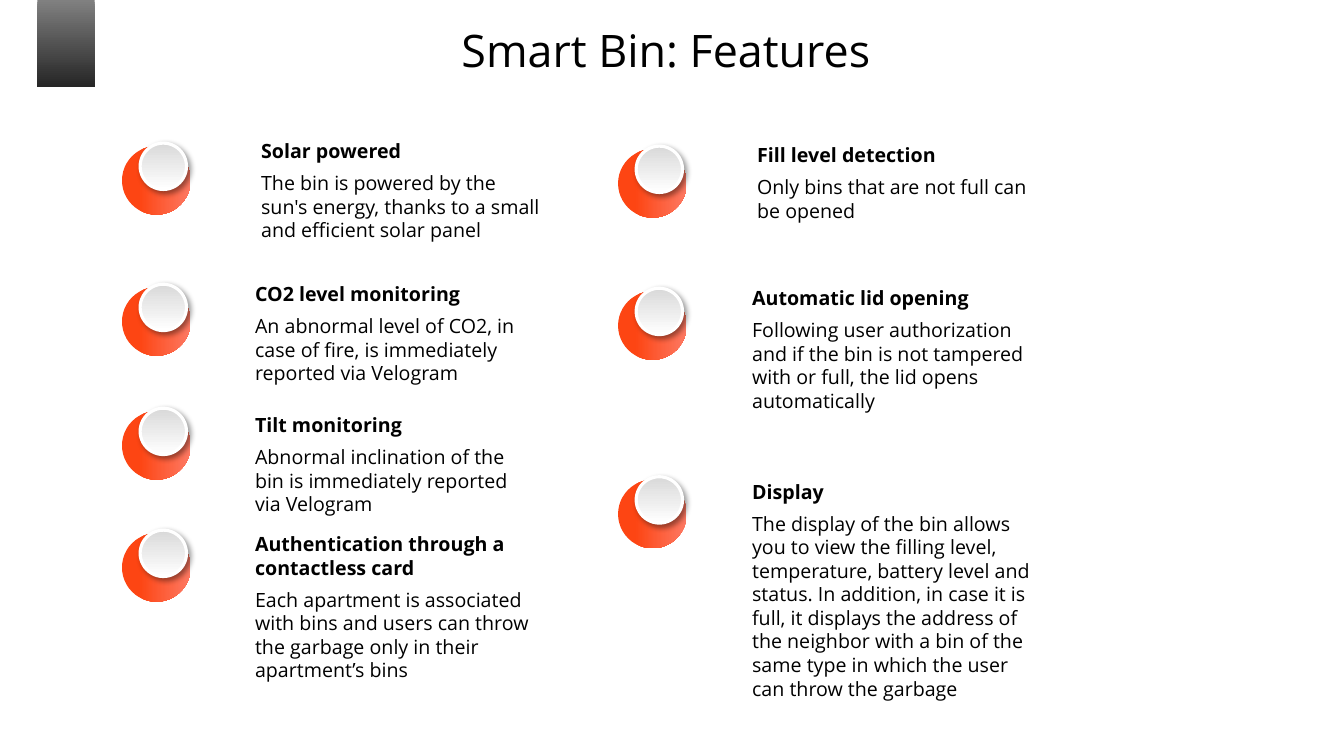
from dataclasses import dataclass

from lxml import etree
from pptx import Presentation
from pptx.dml.color import RGBColor
from pptx.enum.shapes import MSO_SHAPE
from pptx.enum.text import MSO_AUTO_SIZE, PP_ALIGN
from pptx.oxml.ns import qn
from pptx.shapes.autoshape import Shape
from pptx.slide import Slide
from pptx.text.text import TextFrame, _Paragraph
from pptx.util import Emu, Pt

OVAL = MSO_SHAPE.OVAL
RECT = MSO_SHAPE.RECTANGLE
GROW = MSO_AUTO_SIZE.SHAPE_TO_FIT_TEXT
MID = PP_ALIGN.CENTER

BLACK = RGBColor(0x00, 0x00, 0x00)
WHITE = RGBColor(0xFF, 0xFF, 0xFF)
RED = RGBColor(0xFD, 0x45, 0x13)
CORAL = RGBColor(0xFD, 0x79, 0x63)
SILVER = RGBColor(0xD9, 0xD9, 0xD9)
GREY = RGBColor(0x80, 0x80, 0x80)
DARK = RGBColor(0x26, 0x26, 0x26)

FONT = "Open Sans"
SCALE = 9144
WIDE, HIGH = 1333, 750
DISC, KNOB = 68, 46
KNOB_X, KNOB_Y = 18, -3
TEXT_W = 280
DOWN = 270


@dataclass(frozen=True)
class Feature:
    disc_x: int
    disc_y: int
    text_x: int
    text_y: int
    text_h: int
    head: str
    body: str


LEFT, RIGHT = 121, 613

FEATURES = [
    Feature(LEFT, 145, 259, 138, 103, "Solar powered",
            "The bin is powered by the sun's energy, thanks to a small "
            "and efficient solar panel"),
    Feature(LEFT, 285, 253, 280, 103, "CO2 level monitoring",
            "An abnormal level of CO2, in case of fire, is immediately "
            "reported via Velogram"),
    Feature(LEFT, 408, 253, 410, 135, "Tilt monitoring",
            "Abnormal inclination of the bin is immediately reported "
            "via Velogram"),
    Feature(LEFT, 529, 253, 528, 150,
            "Authentication through a contactless card",
            "Each apartment is associated with bins and users can throw "
            "the garbage only in their apartment’s bins"),
    Feature(RIGHT, 148, 751, 142, 79, "Fill level detection",
            "Only bins that are not full can be opened"),
    Feature(RIGHT, 289, 746, 284, 126, "Automatic lid opening",
            "Following user authorization and if the bin is not tampered "
            "with or full, the lid opens automatically"),
    Feature(RIGHT, 476, 746, 476, 220, "Display",
            "The display of the bin allows you to view the filling level, "
            "temperature, battery level and status. In addition, in case "
            "it is full, it displays the address of the neighbor with a "
            "bin of the same type in which the user can throw the garbage"),
]


def px(size: int) -> Emu:
    return Emu(size * SCALE)


def add_shade(slide: Slide, kind: MSO_SHAPE, x: int, y: int, w: int, h: int,
              start: RGBColor, end: RGBColor, angle: int,
              first: float = 0) -> Shape:
    shape = slide.shapes.add_shape(kind, px(x), px(y), px(w), px(h))
    shape.shadow.inherit = False
    shape.line.fill.background()
    shape.fill.gradient()
    shape.fill.gradient_angle = angle
    stops = shape.fill.gradient_stops
    for stop, color, place in zip(stops, (start, end), (first, 1)):
        stop.color.rgb = color
        stop.position = place
    return shape


def cast_shadow(shape: Shape) -> None:
    effects = shape._element.spPr.find(qn("a:effectLst"))
    shadow = etree.SubElement(effects, qn("a:outerShdw"), blurRad="50800",
                              dist="38100", dir="2700000", algn="tl",
                              rotWithShape="0")
    color = etree.SubElement(shadow, qn("a:srgbClr"), val=str(BLACK))
    etree.SubElement(color, qn("a:alpha"), val="40000")


def add_button(slide: Slide, x: int, y: int) -> None:
    add_shade(slide, OVAL, x, y, DISC, DISC, RED, CORAL, 0, 0.25)
    knob = add_shade(slide, OVAL, x + KNOB_X, y + KNOB_Y, KNOB, KNOB,
                     SILVER, WHITE, DOWN)
    knob.line.color.rgb = WHITE
    knob.line.width = Pt(2.25)
    cast_shadow(knob)


def add_frame(slide: Slide, x: int, y: int, w: int, h: int) -> TextFrame:
    box = slide.shapes.add_textbox(px(x), px(y), px(w), px(h))
    frame = box.text_frame
    frame.word_wrap = True
    frame.auto_size = GROW
    return frame


def style(para: _Paragraph, size: int, bold: bool = False) -> None:
    for run in para.runs:
        run.font.name = FONT
        run.font.size = Pt(size)
        run.font.bold = bold
        run.font.color.rgb = BLACK


def add_title(slide: Slide, text: str) -> None:
    frame = add_frame(slide, 0, 18, WIDE, 64)
    frame.text = text
    para = frame.paragraphs[0]
    para.alignment = MID
    style(para, 32)


def add_feature(slide: Slide, item: Feature) -> None:
    add_button(slide, item.disc_x, item.disc_y)
    frame = add_frame(slide, item.text_x, item.text_y, TEXT_W, item.text_h)
    frame.margin_left = frame.margin_right = 0
    frame.margin_top = frame.margin_bottom = 0
    frame.text = item.head
    style(frame.paragraphs[0], 14, True)
    body = frame.add_paragraph()
    body.text = item.body
    body.space_before = Pt(6)
    style(body, 14)


def main() -> None:
    deck = Presentation()
    deck.slide_width = px(WIDE)
    deck.slide_height = px(HIGH)
    slide = deck.slides.add_slide(deck.slide_layouts[6])
    add_shade(slide, RECT, 37, 0, 57, 86, GREY, DARK, DOWN)
    add_title(slide, "Smart Bin: Features ")
    for item in FEATURES:
        add_feature(slide, item)
    deck.save("out.pptx")


if __name__ == "__main__":
    main()
